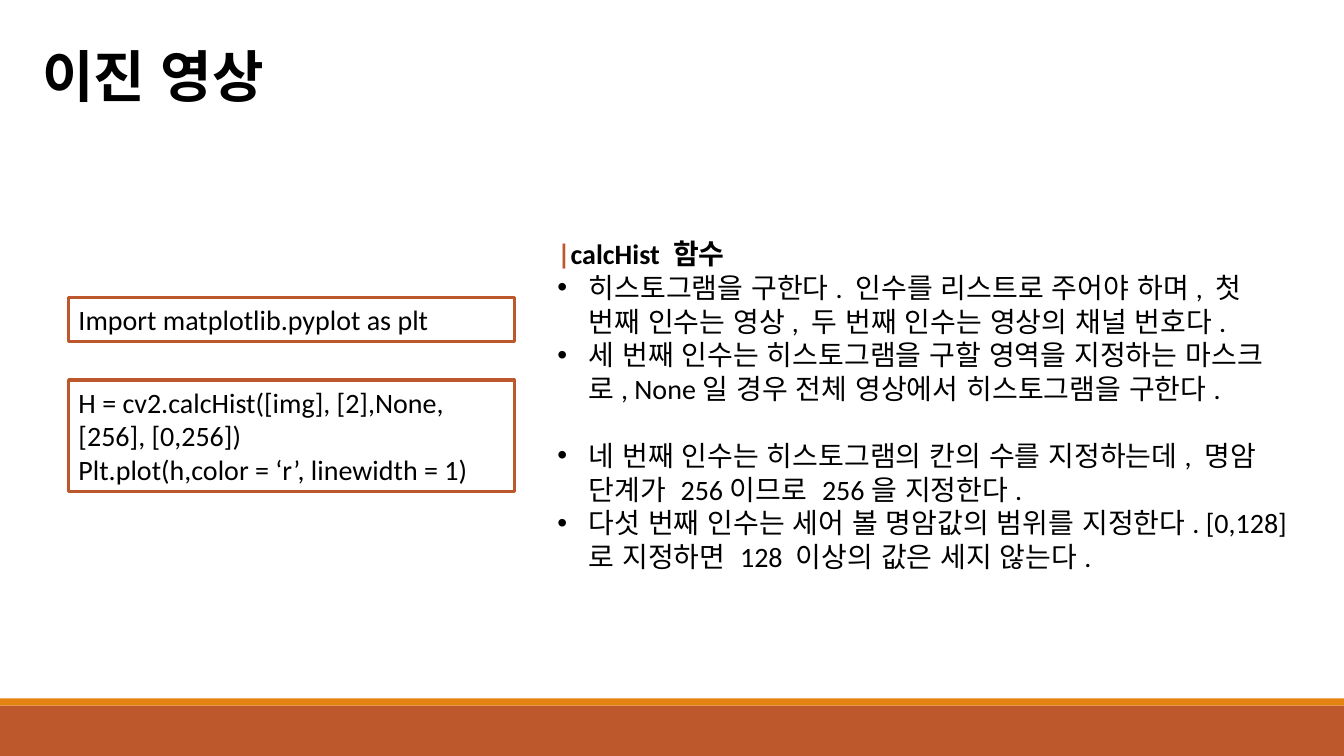
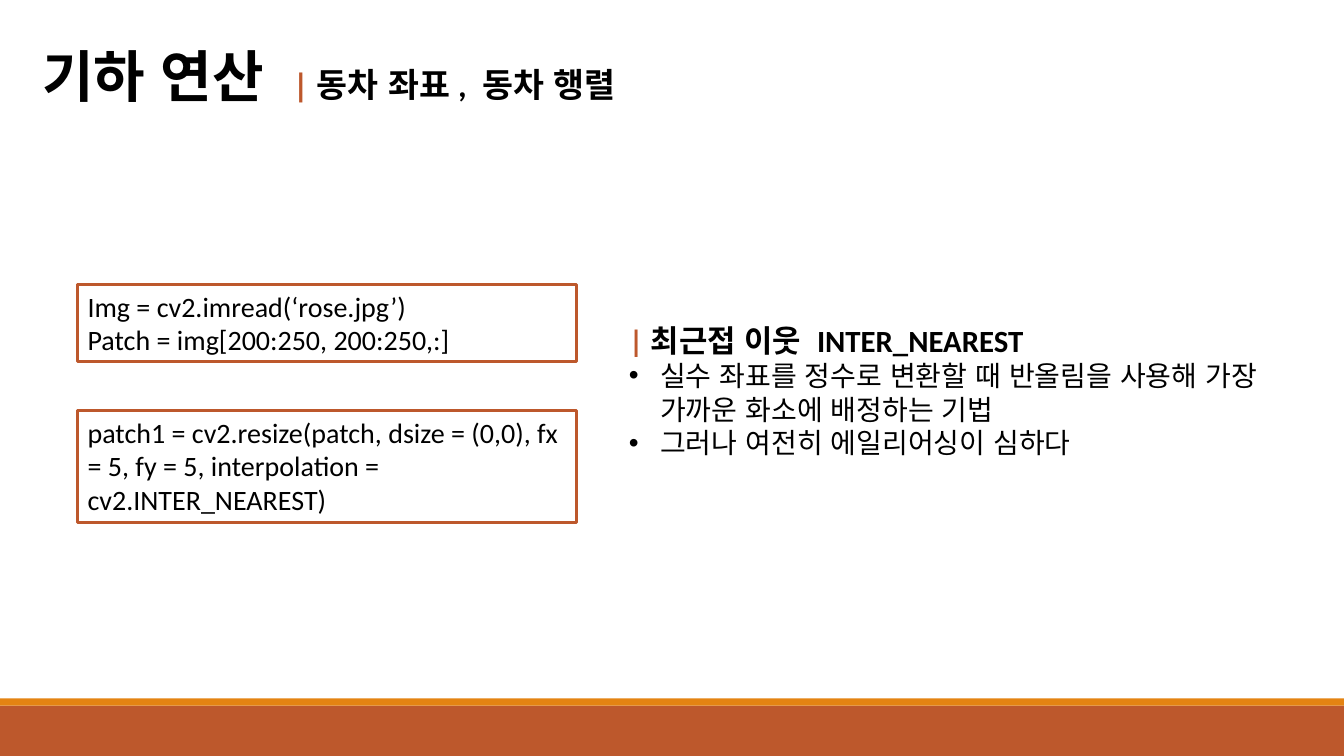
from dataclasses import dataclass

from lxml.etree import SubElement
from pptx import Presentation
from pptx.dml.color import RGBColor
from pptx.enum.lang import MSO_LANGUAGE_ID
from pptx.enum.shapes import MSO_SHAPE
from pptx.enum.text import MSO_ANCHOR, PP_ALIGN
from pptx.oxml.ns import qn
from pptx.util import Inches, Pt


@dataclass(frozen=True)
class Theme:
    rust: RGBColor = RGBColor(0xBD, 0x58, 0x2C)
    amber: RGBColor = RGBColor(0xE4, 0x83, 0x12)
    ink: RGBColor = RGBColor(0, 0, 0)
    latin: str = "Calibri"
    hangul: str = "Noto Sans CJK KR"
    title: int = 40
    sub: int = 24
    body: int = 20
    border: float = 2.25
    lead: float = 1.2
    indent: float = 0.31


T = Theme()


def add_para(frame, runs, size=T.body, bold=False, bullet=False, gap=0, fixed=True):
    """Add one paragraph; each run is (text, format), the format overriding the keywords."""
    first = not frame.paragraphs[0].runs
    para = frame.paragraphs[0] if first else frame.add_paragraph()
    para.alignment = PP_ALIGN.LEFT
    if fixed:
        para.line_spacing = Pt(size * T.lead)
    if gap:
        para.space_before = Pt(gap)
    if bullet:
        props = para._p.get_or_add_pPr()
        props.set("marL", str(Inches(T.indent)))
        props.set("indent", str(-Inches(T.indent)))
        SubElement(props, qn("a:buFont"), typeface="Arial")
        SubElement(props, qn("a:buChar"), char="•")
    for text, style in runs:
        run = para.add_run()
        run.text = text
        font = run.font
        font.name = style.get("face", T.latin)
        font.size = Pt(style.get("size", size))
        font.bold = bold
        font.color.rgb = style.get("color", T.ink)
        font.language_id = MSO_LANGUAGE_ID.KOREAN
        SubElement(run._r.get_or_add_rPr(), qn("a:ea"), typeface=T.hangul)


def add_rect(slide, place, fill=None, line=None):
    box = slide.shapes.add_shape(MSO_SHAPE.RECTANGLE, *map(Inches, place))
    box.shadow.inherit = False
    if fill is None:
        box.fill.background()
    else:
        box.fill.solid()
        box.fill.fore_color.rgb = fill
    if line is None:
        box.line.fill.background()
    else:
        box.line.color.rgb = line
        box.line.width = Pt(T.border)
    return box


bar = ("|", {"color": T.rust})

pages = [
    {
        "title": "이진 영상",
        "sub": None,
        "notes": (5.43, 2.3, 7.57, 3.8),
        "head": "calcHist 함수",
        "size": 20,
        "points": [
            ("히스토그램을 구한다. 인수를 리스트로 주어야 하며, 첫 번째 인수는 영상, "
             "두 번째 인수는 영상의 채널 번호다.", 0),
            ("세 번째 인수는 히스토그램을 구할 영역을 지정하는 마스크로, "
             "None일 경우 전체 영상에서 히스토그램을 구한다.", 0),
            ("네 번째 인수는 히스토그램의 칸의 수를 지정하는데, "
             "명암 단계가 256이므로 256을 지정한다.", 24),
            ("다섯 번째 인수는 세어 볼 명암값의 범위를 지정한다. "
             "[0,128]로 지정하면 128 이상의 값은 세지 않는다.", 0),
        ],
        "code": [
            ((0.68, 2.95, 4.42, 0.44), ["Import matplotlib.pyplot as plt"]),
            ((0.68, 3.77, 4.42, 1.11), [
                "H = cv2.calcHist([img], [2],None,[256], [0,256])",
                "Plt.plot(h,color = ‘r’, linewidth = 1)",
            ]),
        ],
    },
    {
        "title": "기하 연산",
        "sub": "동차 좌표, 동차 행렬",
        "notes": (6.14, 3.14, 6.63, 1.48),
        "head": "최근접 이웃 INTER_NEAREST",
        "size": 22,
        "points": [
            ("실수 좌표를 정수로 변환할 때 반올림을 사용해 가장 가까운 화소에 배정하는 기법", 0),
            ("그러나 여전히 에일리어싱이 심하다", 0),
        ],
        "code": [
            ((0.77, 2.82, 4.95, 0.77), [
                "Img = cv2.imread(‘rose.jpg’)",
                "Patch = img[200:250, 200:250,:]",
            ]),
            ((0.77, 4.07, 4.95, 1.11), [
                "patch1 = cv2.resize(patch, dsize = (0,0), fx = 5, fy = 5, "
                "interpolation = cv2.INTER_NEAREST)",
            ]),
        ],
    },
]

deck = Presentation()
deck.slide_width, deck.slide_height = Inches(13.33), Inches(7.5)

for page in pages:
    slide = deck.slides.add_slide(deck.slide_layouts[6])
    add_rect(slide, (0, 7, 13.33, 0.5), fill=T.rust)
    add_rect(slide, (0, 6.93, 13.33, 0.07), fill=T.amber)

    runs = [(page["title"], {"face": T.hangul})]
    if page["sub"]:
        runs = [
            (page["title"] + " ", {"face": T.hangul}),
            ("|", {"size": T.sub, "color": T.rust}),
            (page["sub"], {"size": T.sub}),
        ]
    title = slide.shapes.add_textbox(*map(Inches, (0.32, 0.36, 12.5, 0.77)))
    title.text_frame.word_wrap = True
    add_para(title.text_frame, runs, size=T.title, bold=True)

    notes = slide.shapes.add_textbox(*map(Inches, page["notes"]))
    notes.text_frame.word_wrap = True
    add_para(notes.text_frame, [bar, (page["head"], {})], size=page["size"], bold=True)
    for text, gap in page["points"]:
        add_para(notes.text_frame, [(text, {})], bullet=True, gap=gap)

    for place, lines in page["code"]:
        frame = add_rect(slide, place, line=T.rust).text_frame
        frame.word_wrap = True
        frame.vertical_anchor = MSO_ANCHOR.TOP
        for text in lines:
            add_para(frame, [(text, {})], fixed=False)

deck.save("out.pptx")
